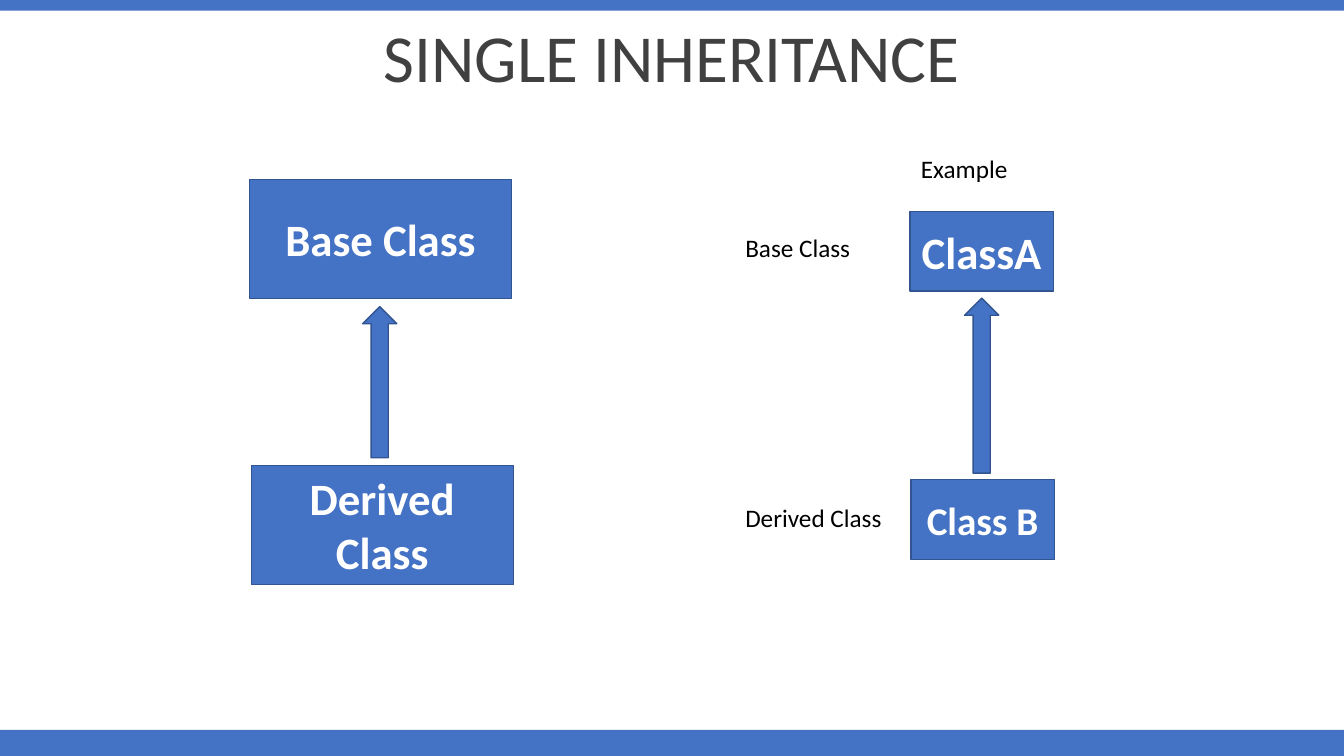
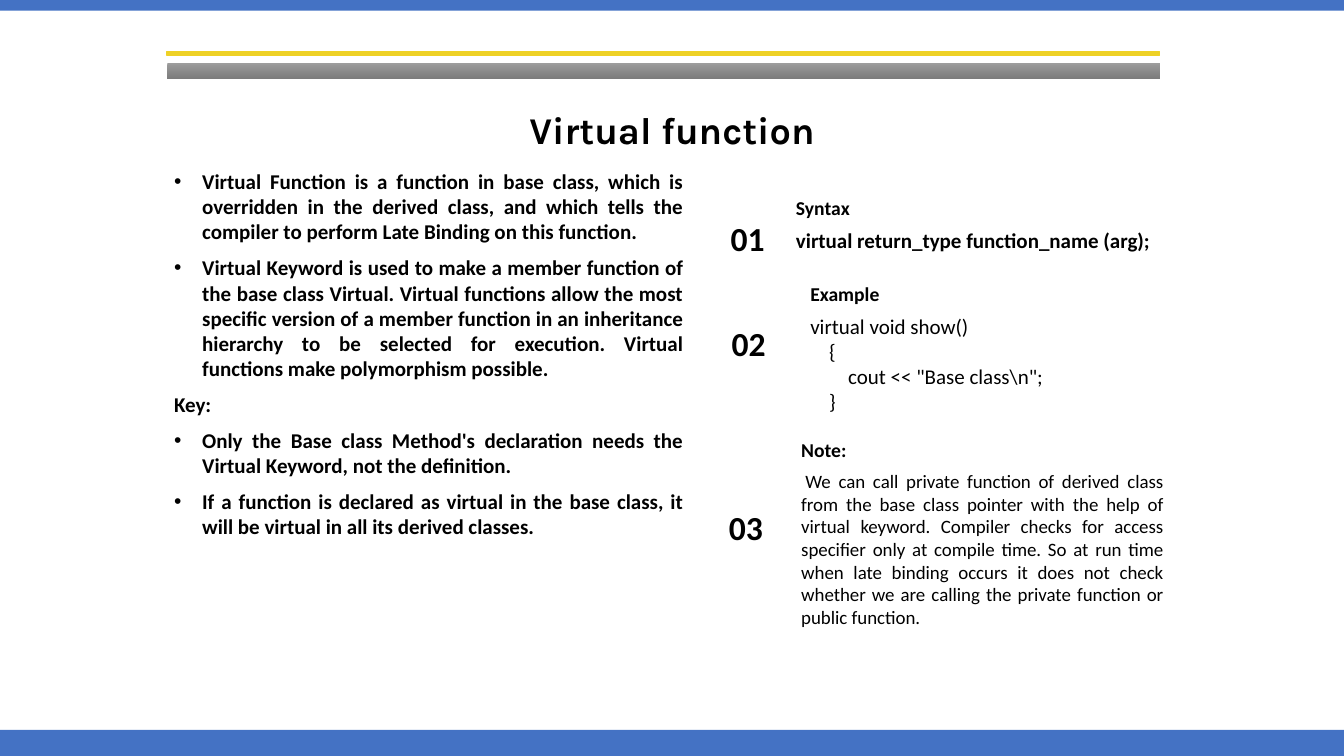
"""Build two slides on single inheritance and virtual functions."""
from dataclasses import dataclass

from lxml.etree import SubElement
from pptx import Presentation
from pptx.dml.color import RGBColor
from pptx.enum.shapes import MSO_SHAPE
from pptx.enum.text import MSO_ANCHOR, PP_ALIGN
from pptx.oxml.ns import qn
from pptx.shapes.autoshape import Shape
from pptx.slide import Slide
from pptx.text.text import TextFrame
from pptx.util import Pt

BLUE = RGBColor(0x44, 0x72, 0xC4)
DARK_BLUE = RGBColor(0x32, 0x54, 0x91)
YELLOW = RGBColor(0xEE, 0xD1, 0x26)
LIGHT_GRAY = RGBColor(0x9D, 0x9D, 0x9D)
GRAY = RGBColor(0x7C, 0x7C, 0x7C)
CHARCOAL = RGBColor(0x40, 0x40, 0x40)
BLACK = RGBColor(0, 0, 0)
WHITE = RGBColor(0xFF, 0xFF, 0xFF)

PAGE_WIDTH, PAGE_HEIGHT = 960, 540
TOP_BAND, BOTTOM_BAND = 7.6, 18.7
ARROW_WIDTH = 24.5
HEADING_RISE = 22.5
HANGING = 20
BADGE_SIZE = 45


@dataclass(frozen=True)
class Area:
    left: float
    top: float
    width: float
    height: float

    def lengths(self) -> tuple[Pt, Pt, Pt, Pt]:
        return Pt(self.left), Pt(self.top), Pt(self.width), Pt(self.height)


@dataclass(frozen=True)
class Style:
    size: float
    bold: bool = False
    color: RGBColor = BLACK
    align: PP_ALIGN = PP_ALIGN.LEFT
    font: str = "Calibri"
    line_spacing: float = 1.0


@dataclass(frozen=True)
class Line:
    text: str
    bullet: bool = False
    indent: float = 0


@dataclass(frozen=True)
class ClassBox:
    name: str
    left: float
    top: float
    size: float


@dataclass(frozen=True)
class ClassPair:
    width: float
    height: float
    base: ClassBox
    derived: ClassBox
    arrow: Area


@dataclass(frozen=True)
class Label:
    text: str
    area: Area


@dataclass(frozen=True)
class Section:
    number: str
    number_left: float
    number_top: float
    badge_left: float
    badge_top: float
    heading: str
    body: tuple[Line, ...]
    area: Area
    style: Style


PAIRS = (
    ClassPair(187.2, 85, ClassBox("Base Class", 178.3, 128.2, 32),
              ClassBox("Derived Class", 179.5, 332.4, 32),
              Area(259, 219, ARROW_WIDTH, 108)),
    ClassPair(102.4, 56.8, ClassBox("ClassA", 650, 151, 32),
              ClassBox("Class B", 650.7, 342.7, 28),
              Area(689, 213, ARROW_WIDTH, 125)),
)
LABELS = (
    Label("Example", Area(650.7, 105.7, 85, 29)),
    Label("Base Class", Area(525.3, 162.3, 113, 29)),
    Label("Derived Class", Area(525.3, 355, 113, 29)),
)
POINTS = (
    Line("Virtual Function is a function in base class, which is overridden in the derived "
         "class, and which tells the compiler to perform Late Binding on this function.", True),
    Line("Virtual Keyword is used to make a member function of the base class Virtual. Virtual "
         "functions allow the most specific version of a member function in an inheritance "
         "hierarchy to be selected for execution. Virtual functions make polymorphism "
         "possible.", True),
    Line("Key:"),
    Line("Only the Base class Method's declaration needs the Virtual Keyword, not the "
         "definition.", True),
    Line("If a function is declared as virtual in the base class, it will be virtual in all "
         "its derived classes.", True),
)
SECTIONS = (
    Section("01", 509, 152, 510.5, 148.3, "Syntax",
            (Line("virtual return_type function_name (arg);"),),
            Area(561.5, 159.2, 272, 25), Style(15, True)),
    Section("02", 509.8, 227, 512.6, 226.8, "Example",
            (Line("virtual void show()"), Line("    {"),
             Line('        cout << "Base class\\n";'), Line("    }")),
            Area(571.7, 220.3, 254, 80), Style(15)),
    Section("03", 507.8, 358.5, 512, 355, "Note:",
            (Line("We can call private function of derived class from the base class pointer "
                  "with the help of virtual keyword. Compiler checks for access specifier only "
                  "at compile time. So at run time when late binding occurs it does not check "
                  "whether we are calling the private function or public function.",
                  indent=3),),
            Area(565.2, 331.9, 273, 122), Style(13.5, align=PP_ALIGN.JUSTIFY)),
)


def write(frame: TextFrame, lines: tuple[Line, ...], style: Style, gap: float = 0) -> None:
    frame.word_wrap = True
    for index, line in enumerate(lines):
        para = frame.paragraphs[0] if index == 0 else frame.add_paragraph()
        para.text = line.text
        para.alignment = style.align
        para.line_spacing = style.line_spacing
        para.space_before = Pt(gap if index else 0)
        properties = para._p.get_or_add_pPr()
        if line.bullet:
            properties.set("marL", str(Pt(HANGING)))
            properties.set("indent", str(-Pt(HANGING)))
            SubElement(properties, qn("a:buFont")).set("typeface", "Arial")
            SubElement(properties, qn("a:buChar")).set("char", "•")
        elif line.indent:
            properties.set("indent", str(Pt(line.indent)))
        font = para.font
        font.name, font.size, font.bold = style.font, Pt(style.size), style.bold
        font.color.rgb = style.color


def add_text(page: Slide, area: Area, lines: tuple[Line, ...], style: Style,
             gap: float = 0, anchor: MSO_ANCHOR = MSO_ANCHOR.TOP) -> None:
    frame = page.shapes.add_textbox(*area.lengths()).text_frame
    frame.vertical_anchor = anchor
    write(frame, lines, style, gap)


def add_block(page: Slide, area: Area, fill: RGBColor = BLUE, outline: RGBColor | None = None,
              kind: MSO_SHAPE = MSO_SHAPE.RECTANGLE) -> Shape:
    block = page.shapes.add_shape(kind, *area.lengths())
    block.shadow.inherit = False
    block.fill.solid()
    block.fill.fore_color.rgb = fill
    if outline is None:
        block.line.fill.background()
    else:
        block.line.color.rgb = outline
        block.line.width = Pt(1)
    return block


def add_page(deck: Presentation, title: str, area: Area, style: Style) -> Slide:
    page = deck.slides.add_slide(deck.slide_layouts[6])
    add_block(page, Area(0, PAGE_HEIGHT - BOTTOM_BAND, PAGE_WIDTH, BOTTOM_BAND))
    add_block(page, Area(0, 0, PAGE_WIDTH, TOP_BAND))
    add_text(page, area, (Line(title),), style, anchor=MSO_ANCHOR.MIDDLE)
    return page


def add_pair(page: Slide, pair: ClassPair) -> None:
    for item in (pair.base, pair.derived):
        box = add_block(page, Area(item.left, item.top, pair.width, pair.height),
                        outline=DARK_BLUE)
        box.text_frame.vertical_anchor = MSO_ANCHOR.MIDDLE
        write(box.text_frame, (Line(item.name),),
              Style(item.size, True, WHITE, PP_ALIGN.CENTER))
    add_block(page, pair.arrow, outline=DARK_BLUE, kind=MSO_SHAPE.UP_ARROW)


def add_section(page: Slide, section: Section) -> None:
    area = section.area
    add_text(page, area, section.body, section.style)
    add_text(page, Area(area.left, area.top - HEADING_RISE, area.width, 24.5),
             (Line(section.heading),), Style(14, True))
    add_block(page, Area(section.badge_left, section.badge_top, BADGE_SIZE, BADGE_SIZE),
              WHITE, kind=MSO_SHAPE.OVAL)
    add_text(page, Area(section.number_left, section.number_top, 50, 36),
             (Line(section.number),), Style(24, True, align=PP_ALIGN.CENTER))


def add_title_rules(page: Slide) -> None:
    add_block(page, Area(119.2, 36.7, 709, 2.9), YELLOW, YELLOW)
    rule = add_block(page, Area(119.5, 44.8, 709, 11.5))
    rule.fill.gradient()
    rule.fill.gradient_angle = 270
    for stop, color in zip(rule.fill.gradient_stops, (LIGHT_GRAY, GRAY)):
        stop.color.rgb = color


def main() -> None:
    deck = Presentation()
    deck.slide_width, deck.slide_height = Pt(PAGE_WIDTH), Pt(PAGE_HEIGHT)

    inheritance = add_page(deck, "SINGLE INHERITANCE", Area(0, 13, PAGE_WIDTH, 60.5),
                           Style(48, False, CHARCOAL, PP_ALIGN.CENTER, line_spacing=0.9))
    for pair in PAIRS:
        add_pair(inheritance, pair)
    for label in LABELS:
        add_text(inheritance, label.area, (Line(label.text),), Style(18))

    virtual = add_page(deck, "Virtual function", Area(120, 72, 720, 45),
                       Style(27, True, BLACK, PP_ALIGN.CENTER, "Karla", 0.9))
    add_text(virtual, Area(117.3, 116.8, 378, 280), POINTS,
             Style(15, True, align=PP_ALIGN.JUSTIFY), gap=7.7)
    add_block(virtual, Area(502.5, 170, 3, 242.6), WHITE)
    for section in SECTIONS:
        add_section(virtual, section)
    add_title_rules(virtual)

    deck.save("out.pptx")


if __name__ == "__main__":
    main()
